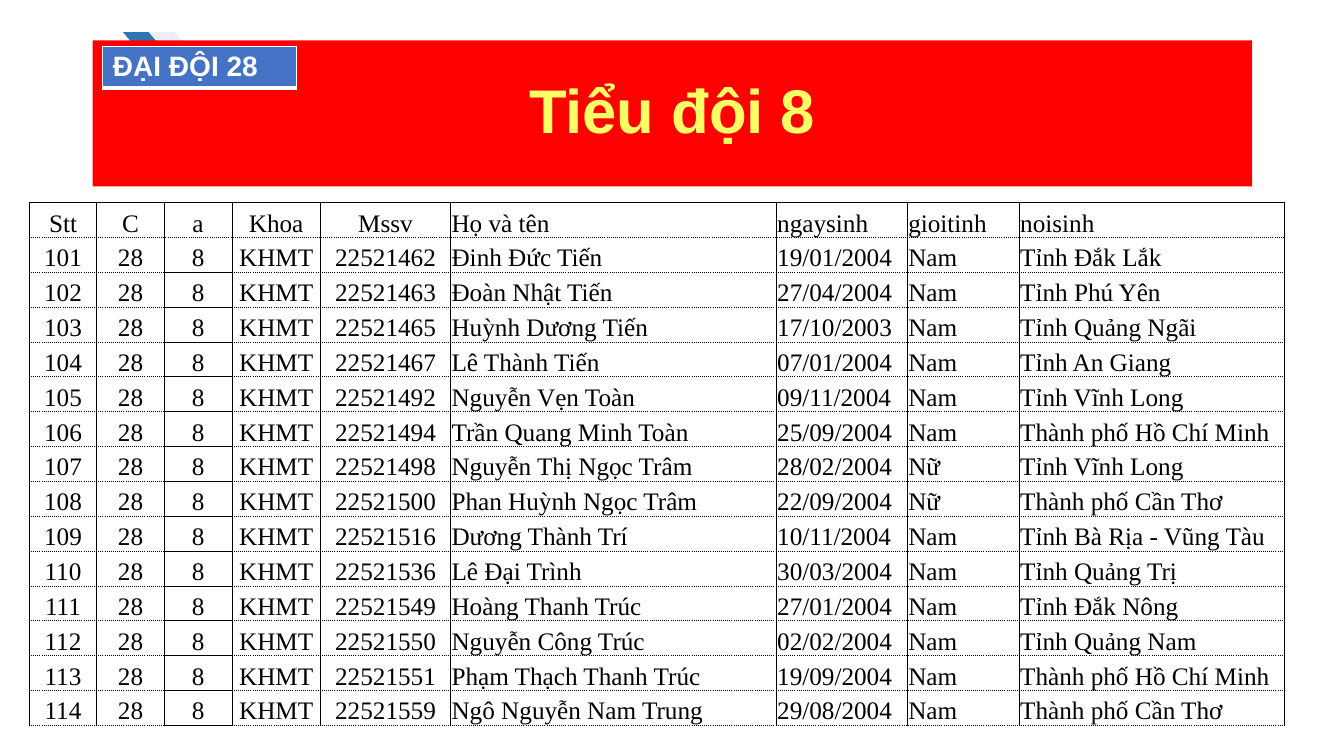
"""Build the roster slide of squad 8, company 28."""
from dataclasses import dataclass

from lxml.etree import SubElement
from pptx import Presentation
from pptx.dml.color import RGBColor as Color
from pptx.enum.shapes import MSO_SHAPE as Preset
from pptx.enum.text import MSO_ANCHOR as Anchor, PP_ALIGN as Align
from pptx.oxml.ns import qn
from pptx.util import Inches, Pt


@dataclass(frozen=True)
class Theme:
    """Colours, fonts and type sizes of the slide."""
    black: str = "000000"
    white: str = "FFFFFF"
    red: str = "FF0000"
    yellow: str = "FFFF66"
    blue: str = "4472C4"
    dark_chevron: str = "2E75B6"
    pale_chevron: str = "EBEEF2"
    heading_font: str = "Arial"
    roster_font: str = "Times New Roman"
    title_size: int = 44
    tag_size: int = 20
    roster_size: int = 18


THEME = Theme()
HEADERS = ("Stt", "C", "a", "Khoa", "Mssv", "Họ và tên", "ngaysinh", "gioitinh", "noisinh")
WIDTHS = (0.67, 0.67, 0.67, 0.88, 1.29, 3.23, 1.3, 1.11, 2.63)
CENTRED_COLUMNS = 5
SQUAD_COLUMN = HEADERS.index("a")
FIRST_NUMBER = 101
STUDENTS = (
    ("22521462", "Đinh Đức Tiến", "19/01/2004", "Nam", "Tỉnh Đắk Lắk"),
    ("22521463", "Đoàn Nhật Tiến", "27/04/2004", "Nam", "Tỉnh Phú Yên"),
    ("22521465", "Huỳnh Dương Tiến", "17/10/2003", "Nam", "Tỉnh Quảng Ngãi"),
    ("22521467", "Lê Thành Tiến", "07/01/2004", "Nam", "Tỉnh An Giang"),
    ("22521492", "Nguyễn Vẹn Toàn", "09/11/2004", "Nam", "Tỉnh Vĩnh Long"),
    ("22521494", "Trần Quang Minh Toàn", "25/09/2004", "Nam", "Thành phố Hồ Chí Minh"),
    ("22521498", "Nguyễn Thị Ngọc Trâm", "28/02/2004", "Nữ", "Tỉnh Vĩnh Long"),
    ("22521500", "Phan Huỳnh Ngọc Trâm", "22/09/2004", "Nữ", "Thành phố Cần Thơ"),
    ("22521516", "Dương Thành Trí", "10/11/2004", "Nam", "Tỉnh Bà Rịa - Vũng Tàu"),
    ("22521536", "Lê Đại Trình", "30/03/2004", "Nam", "Tỉnh Quảng Trị"),
    ("22521549", "Hoàng Thanh Trúc", "27/01/2004", "Nam", "Tỉnh Đắk Nông"),
    ("22521550", "Nguyễn Công Trúc", "02/02/2004", "Nam", "Tỉnh Quảng Nam"),
    ("22521551", "Phạm Thạch Thanh Trúc", "19/09/2004", "Nam", "Thành phố Hồ Chí Minh"),
    ("22521559", "Ngô Nguyễn Nam Trung", "29/08/2004", "Nam", "Thành phố Cần Thơ"),
)


def write(para, text, font_name, size, color, bold=False, align=Align.LEFT):
    """Fill a paragraph with text in one style."""
    para.text = text
    para.alignment = align
    para.font.name = font_name
    para.font.size = Pt(size)
    para.font.bold = bold
    para.font.color.rgb = Color.from_string(color)


def add_block(page, preset, left, top, width, height, color):
    """Add a plain filled shape without an outline."""
    block = page.shapes.add_shape(preset, Inches(left), Inches(top), Inches(width), Inches(height))
    block.shadow.inherit = False
    block.fill.solid()
    block.fill.fore_color.rgb = Color.from_string(color)
    block.line.fill.background()
    return block


def add_title(page, text):
    """Add the red title band."""
    band = add_block(page, Preset.RECTANGLE, 0.92, 0.4, 11.5, 1.45, THEME.red)
    frame = band.text_frame
    frame.word_wrap = True
    frame.vertical_anchor = Anchor.MIDDLE
    para = frame.paragraphs[0]
    para.line_spacing = 0.9
    write(para, text, THEME.heading_font, THEME.title_size, THEME.yellow, True, Align.CENTER)


def add_grid(page, rows, left, top, widths, height):
    """Add an unstyled table with given column widths and equal rows."""
    frame = page.shapes.add_table(rows, len(widths), Inches(left), Inches(top),
                                  Inches(sum(widths)), Inches(height))
    table = frame.table
    table.first_row = table.horz_banding = False
    for column, width in zip(table.columns, widths):
        column.width = Inches(width)
    for row in table.rows:
        row.height = Inches(height / rows)
    return table


def set_borders(cell, color, **edges):
    """Draw the L, R, T and B edges, each given as width and dash."""
    properties = cell._tc.get_or_add_tcPr()
    for side in "LRTB":
        width, dash = edges[side]
        line = SubElement(properties, qn(f"a:ln{side}"), w=str(Pt(width)))
        fill = SubElement(line, qn("a:solidFill"))
        SubElement(fill, qn("a:srgbClr"), val=color)
        SubElement(line, qn("a:prstDash"), val=dash)


def add_roster(page):
    """Add the table of students."""
    solid, dotted = (0.5, "solid"), (0.5, "dot")
    rows = [HEADERS] + [(str(number), "28", "8", "KHMT", *student)
                        for number, student in enumerate(STUDENTS, FIRST_NUMBER)]
    table = add_grid(page, len(rows), 0.29, 2.01, WIDTHS, 5.19)
    for row_index, values in enumerate(rows):
        for column_index, value in enumerate(values):
            cell = table.cell(row_index, column_index)
            in_squad = column_index == SQUAD_COLUMN
            top = solid if row_index == 0 or (in_squad and row_index > 1) else dotted
            bottom = solid if in_squad and row_index > 0 else dotted
            set_borders(cell, THEME.black, L=solid, R=solid, T=top, B=bottom)
            cell.fill.background()
            cell.margin_left = cell.margin_right = cell.margin_top = Inches(0.01)
            cell.margin_bottom = 0
            cell.vertical_anchor = Anchor.BOTTOM
            align = Align.CENTER if column_index < CENTRED_COLUMNS else Align.LEFT
            write(cell.text_frame.paragraphs[0], value, THEME.roster_font,
                  THEME.roster_size, THEME.black, align=align)


def add_company_tag(page, text):
    """Add the blue one-cell table naming the company."""
    cell = add_grid(page, 1, 1.02, 0.46, (1.92,), 0.41).cell(0, 0)
    thin = (1, "solid")
    set_borders(cell, THEME.white, L=thin, R=thin, T=thin, B=(3, "solid"))
    cell.fill.solid()
    cell.fill.fore_color.rgb = Color.from_string(THEME.blue)
    write(cell.text_frame.paragraphs[0], text, THEME.heading_font,
          THEME.tag_size, THEME.white, bold=True)


def main():
    """Build and save the deck."""
    deck = Presentation()
    deck.slide_width, deck.slide_height = Inches(13.33), Inches(7.5)
    page = deck.slides.add_slide(deck.slide_layouts[6])
    for left, color in ((1.22, THEME.dark_chevron), (1.48, THEME.pale_chevron)):
        add_block(page, Preset.CHEVRON, left, 0.32, 0.51, 0.6, color)
    add_title(page, "Tiểu đội 8")
    add_roster(page)
    add_company_tag(page, "ĐẠI ĐỘI 28")
    deck.save("out.pptx")


if __name__ == "__main__":
    main()
